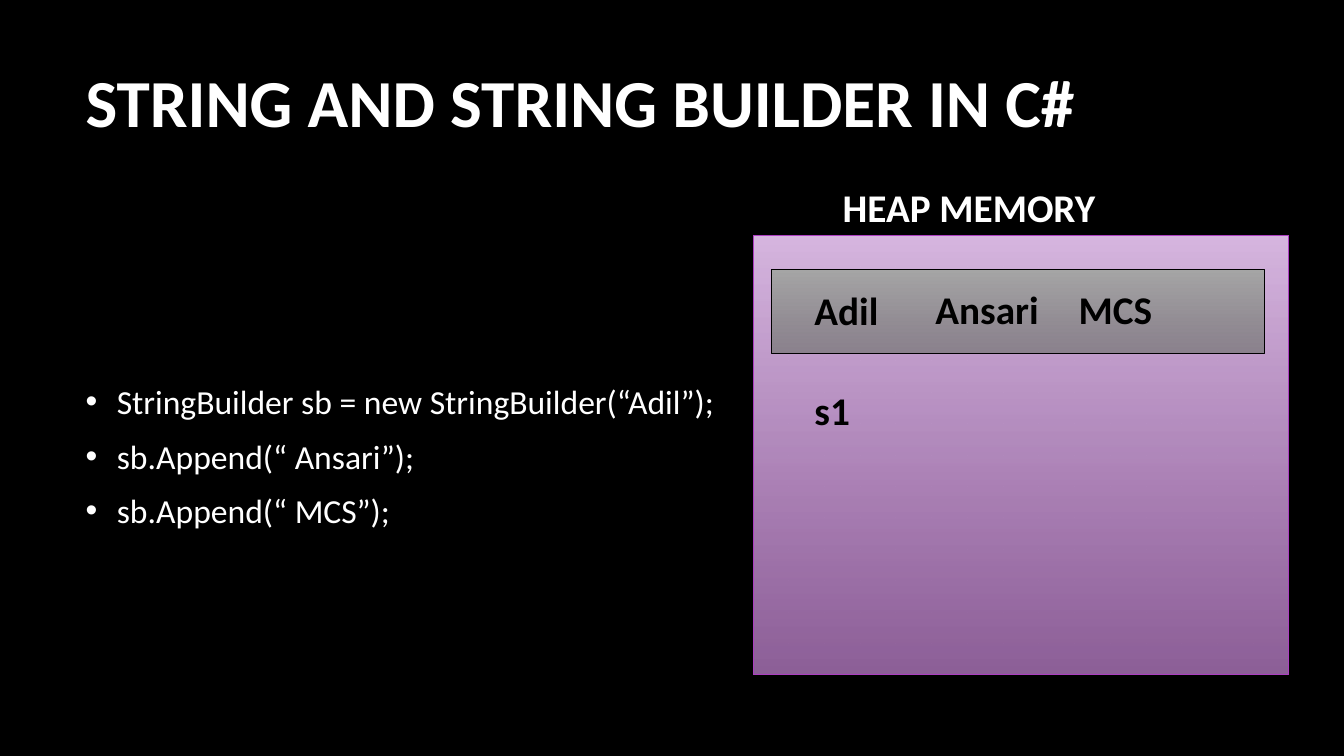
import pptx
import pptx.dml.color
import pptx.enum.shapes
import pptx.enum.text
import pptx.oxml
import pptx.oxml.ns
import pptx.util
from pptx.util import Inches

RGBColor = pptx.dml.color.RGBColor
Anchor = pptx.enum.text.MSO_ANCHOR

BLACK = RGBColor(0x00, 0x00, 0x00)
WHITE = RGBColor(0xFF, 0xFF, 0xFF)
LILAC = RGBColor(0xD8, 0xB7, 0xE1)
ORCHID = RGBColor(0xBF, 0x82, 0xCE)
PURPLE = RGBColor(0xAC, 0x3E, 0xC1)
LIGHT_GREY = RGBColor(0xA6, 0xA6, 0xA6)
DARK_GREY = RGBColor(0x79, 0x79, 0x79)

TITLE_FORMAT = {"name": "Calibri", "size": pptx.util.Pt(48), "bold": True}
CODE_FORMAT = {"name": "Calibri", "size": pptx.util.Pt(24), "bold": False}
LABEL_FORMAT = {"name": "Calibri", "size": pptx.util.Pt(28), "bold": True}

CODE_LINES = [
    "StringBuilder sb = new StringBuilder(“Adil”);",
    "sb.Append(“ Ansari”);",
    "sb.Append(“ MCS”);",
]
HEAP_LABELS = [
    ("s1", 7.98, 3.78, 0.56),
    ("Adil", 7.98, 2.79, 0.84),
    ("Ansari", 9.18, 2.78, 1.24),
    ("MCS", 10.6, 2.78, 0.94),
]


def format_font(font, values, color):
    for name, value in values.items():
        setattr(font, name, value)
    font.color.rgb = color


def add_bullet(paragraph):
    properties = paragraph._p.get_or_add_pPr()
    properties.set("marL", str(Inches(0.31)))
    properties.set("indent", str(-Inches(0.31)))
    namespace = pptx.oxml.ns.nsdecls("a")
    for xml in (
        f'<a:buClr {namespace}><a:srgbClr val="{WHITE}"/></a:buClr>',
        f'<a:buFont {namespace} typeface="Arial"/>',
        f'<a:buChar {namespace} char="•"/>',
    ):
        properties.append(pptx.oxml.parse_xml(xml))


def add_text(slide, lines, bounds, values, color, anchor=Anchor.TOP,
             wrap=True, bullets=False):
    shape = slide.shapes.add_textbox(*map(Inches, bounds))
    frame = shape.text_frame
    frame.word_wrap = wrap
    frame.vertical_anchor = anchor
    frame.text = "\n".join(lines)
    for paragraph in frame.paragraphs:
        if bullets:
            add_bullet(paragraph)
            paragraph.space_after = pptx.util.Pt(10)
        format_font(paragraph.font, values, color)


def add_gradient_box(slide, bounds, top_color, bottom_color, line_color):
    shape = slide.shapes.add_shape(
        pptx.enum.shapes.MSO_SHAPE.RECTANGLE, *map(Inches, bounds))
    shape.shadow.inherit = False
    shape.fill.gradient()
    shape.fill.gradient_angle = 270
    for stop, color in zip(shape.fill.gradient_stops, (top_color, bottom_color)):
        stop.color.rgb = color
    # The lower end of the gradient is partly transparent
    bottom = shape._element.spPr.findall(".//" + pptx.oxml.ns.qn("a:srgbClr"))[-1]
    namespace = pptx.oxml.ns.nsdecls("a")
    bottom.append(pptx.oxml.parse_xml(f'<a:alpha {namespace} val="74000"/>'))
    shape.line.color.rgb = line_color
    shape.line.width = pptx.util.Pt(0.75)


def main():
    presentation = pptx.Presentation()
    presentation.slide_width = Inches(13.33)
    presentation.slide_height = Inches(7.5)
    slide = presentation.slides.add_slide(presentation.slide_layouts[6])
    slide.background.fill.solid()
    slide.background.fill.fore_color.rgb = BLACK

    # Title and code
    add_text(slide, ["STRING AND STRING BUILDER IN C#"], (0.75, 0.2, 11.08, 1.59),
             TITLE_FORMAT, WHITE, Anchor.MIDDLE)
    add_text(slide, CODE_LINES, (0.75, 2.34, 11.08, 4.36),
             CODE_FORMAT, WHITE, Anchor.MIDDLE, bullets=True)

    # Heap memory with the buffer inside
    add_gradient_box(slide, (7.47, 2.34, 5.31, 4.35), LILAC, ORCHID, PURPLE)
    add_text(slide, ["HEAP MEMORY"], (8.26, 1.77, 3.07, 0.57), LABEL_FORMAT, WHITE)
    add_gradient_box(slide, (7.65, 2.67, 4.89, 0.84), LIGHT_GREY, DARK_GREY, BLACK)
    for text, left, top, width in HEAP_LABELS:
        add_text(slide, [text], (left, top, width, 0.57), LABEL_FORMAT, BLACK,
                 wrap=False)

    presentation.save("out.pptx")


if __name__ == "__main__":
    main()
